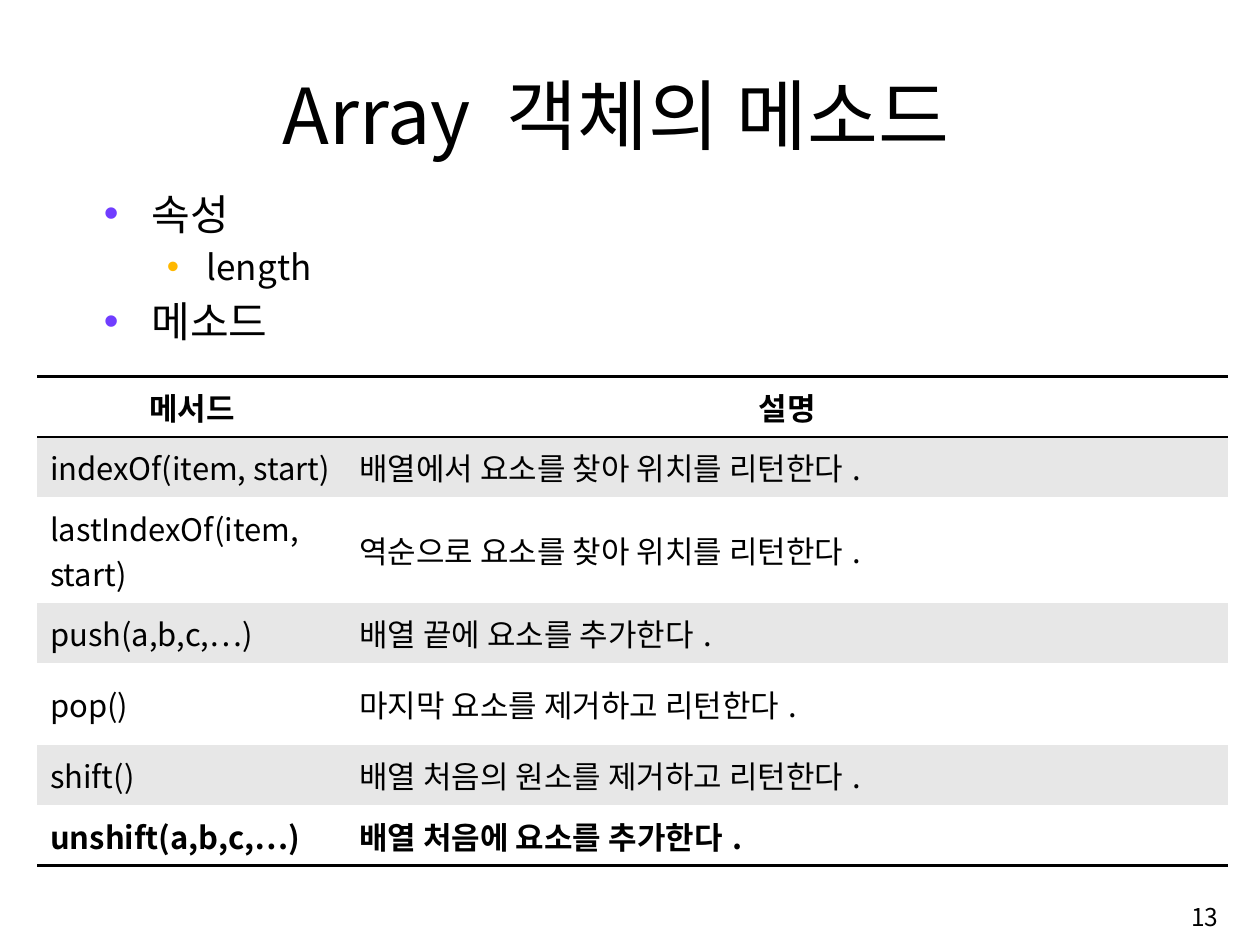
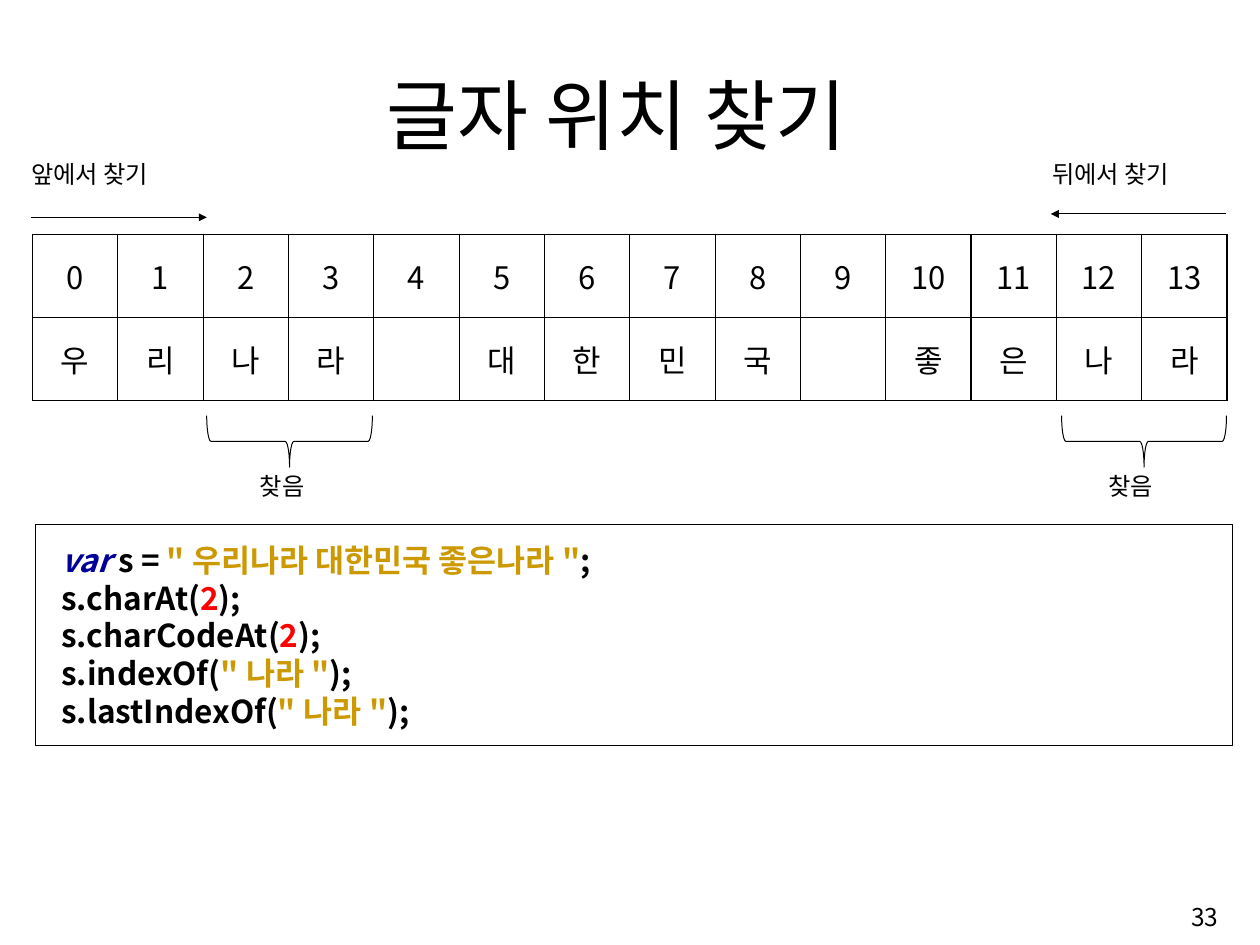
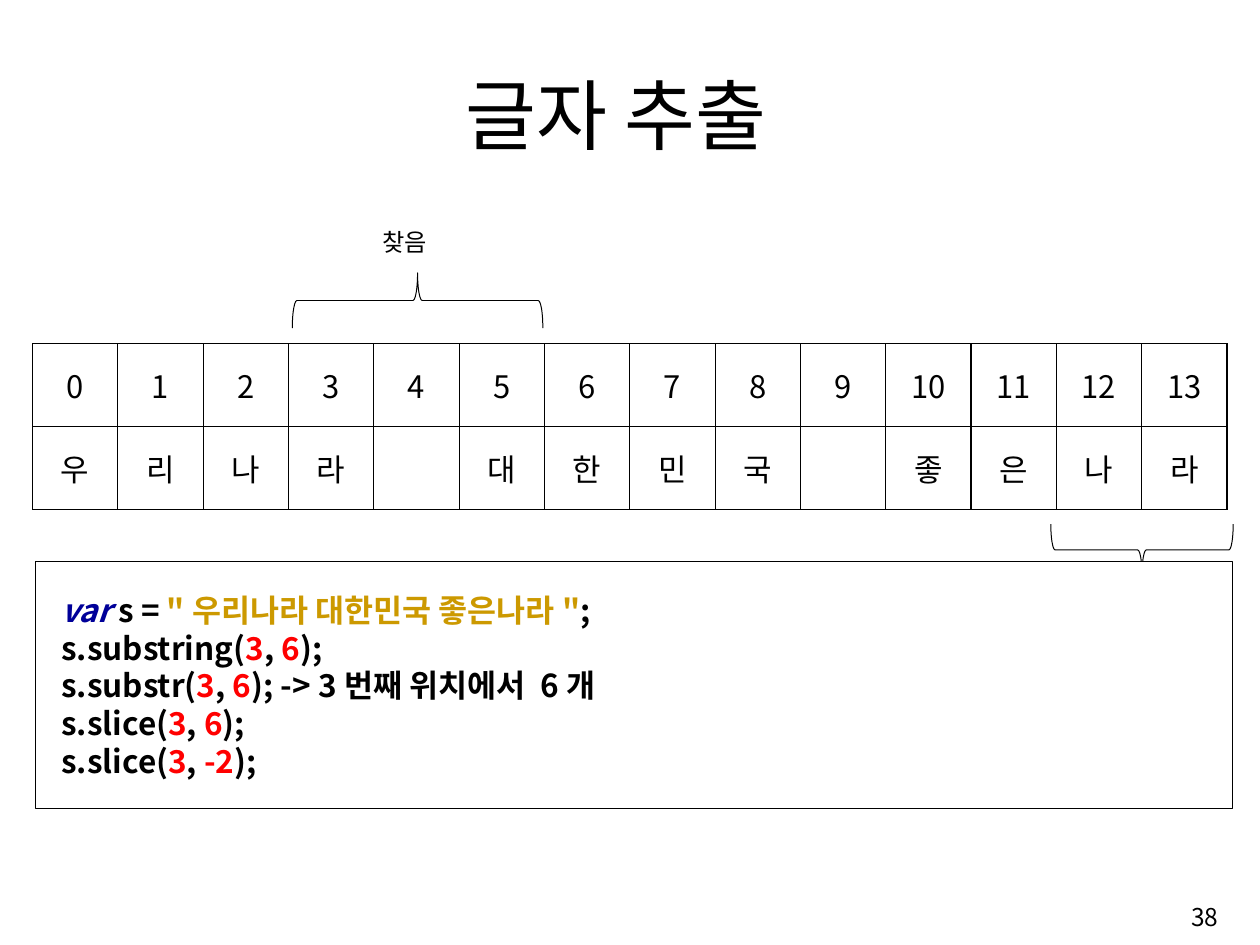
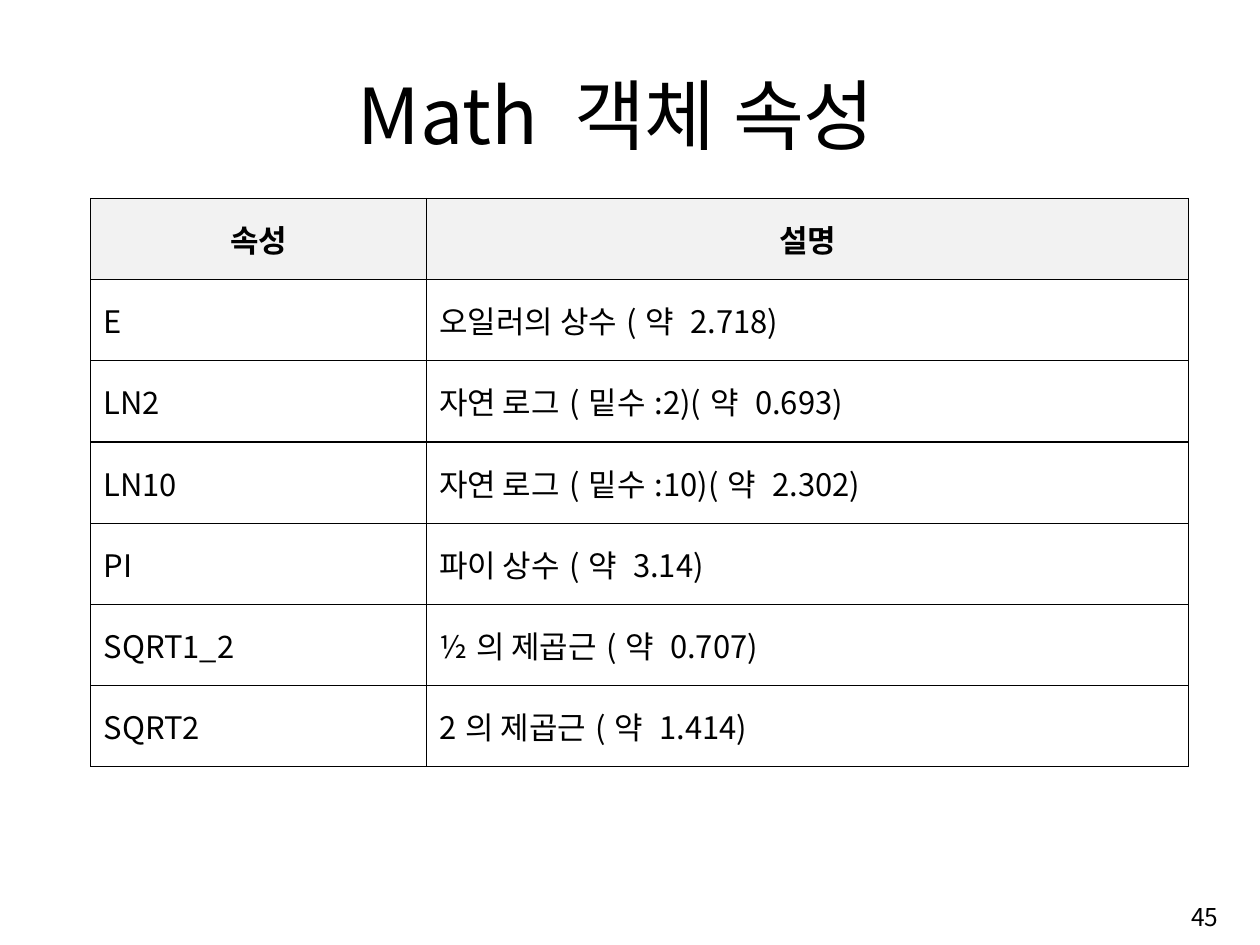
import pptx
import pptx.dml.color
import pptx.enum.shapes
import pptx.enum.text
import pptx.oxml
import pptx.oxml.ns
import pptx.util
from lxml import etree

Pt = pptx.util.Pt
ALIGN = pptx.enum.text.PP_ALIGN
ANCHOR = pptx.enum.text.MSO_ANCHOR
SHAPE = pptx.enum.shapes.MSO_SHAPE
qn = pptx.oxml.ns.qn

FONT, LABEL_FONT = "Noto Sans CJK KR", "Arial"
BLACK, WHITE = "000000", "FFFFFF"
BAND, HEADER = "E7E7E7", "F2F2F2"
PURPLE, AMBER = "703DFF", "FFB800"
NAVY, GOLD, RED = "000099", "CC9900", "FF0000"
GRID_LEFT, GRID_COL, GRID_ROW = 24.2, 63.35, 61.7
BRACE_DEPTH = 38.2
LETTERS = list("우리나라 대한민국 좋은나라")


def color(value):
    """Turn a hex string into an RGB colour."""
    return pptx.dml.color.RGBColor.from_string(value)


def add_run(p, text, size, fill=BLACK, bold=False, italic=False, font=FONT):
    """Append one formatted run to a paragraph."""
    r = p.add_run()
    r.text = text
    r.font.size, r.font.name = Pt(size), font
    r.font.bold, r.font.italic = bold, italic
    r.font.color.rgb = color(fill)
    etree.SubElement(r.font._element, qn("a:ea")).set("typeface", FONT)


def set_margins(target, x, y):
    """Set equal side and equal top and bottom insets."""
    target.margin_left = target.margin_right = Pt(x)
    target.margin_top = target.margin_bottom = Pt(y)


def add_text(slide, box, text, size, font=FONT, align=ALIGN.LEFT, anchor=ANCHOR.TOP):
    """Add a text box holding a single line."""
    tf = slide.shapes.add_textbox(*map(Pt, box)).text_frame
    tf.word_wrap, tf.vertical_anchor = True, anchor
    p = tf.paragraphs[0]
    p.alignment = align
    add_run(p, text, size, font=font)


def add_label(slide, x, y, width, text):
    """Add a small caption beside a diagram."""
    add_text(slide, (x, y, width, 29), text, 18, LABEL_FONT)


def add_slide(prs, title, number):
    """Add a slide with its title and page number."""
    slide = prs.slides.add_slide(prs.slide_layouts[5])
    sp = slide.shapes.title
    sp.left, sp.top, sp.width, sp.height = map(Pt, (75.5, 45.5, 764, 78))
    tf = sp.text_frame
    tf.word_wrap, tf.vertical_anchor = True, ANCHOR.MIDDLE
    tf.auto_size = pptx.enum.text.MSO_AUTO_SIZE.NONE
    set_margins(tf, 7.2, 0)
    p = tf.paragraphs[0]
    p.alignment = ALIGN.CENTER
    add_run(p, title, 57.2)
    add_text(slide, (718.5, 658.5, 193, 43), str(number), 18.2, align=ALIGN.RIGHT, anchor=ANCHOR.MIDDLE)
    return slide


def set_indent(p, margin, indent=0):
    """Set the left margin and first-line indent of a paragraph."""
    pPr = p._p.get_or_add_pPr()
    pPr.set("marL", str(Pt(margin)))
    pPr.set("indent", str(Pt(indent)))
    return pPr


def add_bullets(slide, box, items):
    """Add a two-level bullet list."""
    levels = ((31.2, 35.3, -35.3, PURPLE), (26, 76.3, -29.5, AMBER))
    tf = slide.shapes.add_textbox(*map(Pt, box)).text_frame
    tf.word_wrap = True
    for i, (level, text) in enumerate(items):
        size, margin, indent, bullet = levels[level]
        p = tf.add_paragraph() if i else tf.paragraphs[0]
        p.level, p.line_spacing, p.space_before = level, 1.0, Pt(round(size * 0.2, 1))
        pPr = set_indent(p, margin, indent)
        clr = etree.SubElement(pPr, qn("a:buClr"))
        etree.SubElement(clr, qn("a:srgbClr")).set("val", bullet)
        etree.SubElement(pPr, qn("a:buFont")).set("typeface", "Arial")
        etree.SubElement(pPr, qn("a:buChar")).set("char", "•")
        add_run(p, text, size)


def set_borders(cell, sides, width):
    """Draw the named sides of a cell and clear the others."""
    tcPr = cell._tc.get_or_add_tcPr()
    for side in "LRTB":
        ln = etree.SubElement(tcPr, qn("a:ln" + side))
        if side in sides:
            ln.set("w", str(Pt(width)))
            fill = etree.SubElement(ln, qn("a:solidFill"))
            etree.SubElement(fill, qn("a:srgbClr")).set("val", BLACK)
        else:
            etree.SubElement(ln, qn("a:noFill"))


def add_table(slide, x, y, cols, heights, rows, fills, sides, border=1, bold=(), centered=()):
    """Add a table whose fills, borders and emphasis are given by row."""
    frame = slide.shapes.add_table(len(rows), len(cols), Pt(x), Pt(y), Pt(sum(cols)), Pt(sum(heights)))
    table = frame.table
    table.first_row = table.horz_banding = False
    for column, width in zip(table.columns, cols):
        column.width = Pt(width)
    for i, values in enumerate(rows):
        table.rows[i].height = Pt(heights[i])
        for j, text in enumerate(values):
            cell = table.cell(i, j)
            set_borders(cell, sides[i], border)
            cell.fill.solid()
            cell.fill.fore_color.rgb = color(fills[i])
            cell.vertical_anchor = ANCHOR.MIDDLE
            set_margins(cell, 9.4, 4.5)
            p = cell.text_frame.paragraphs[0]
            p.alignment = ALIGN.CENTER if i in centered else ALIGN.LEFT
            if text.strip():
                add_run(p, text, 23, bold=i in bold)


def add_letter_grid(slide, y):
    """Add the index row above the letters of the sample string."""
    count = len(LETTERS)
    rows = [[str(i) for i in range(count)], LETTERS]
    add_table(slide, GRID_LEFT, y, [GRID_COL] * count, [GRID_ROW] * 2, rows,
              [WHITE] * 2, ["LRTB"] * 2, centered=(0, 1))


def add_outlined(slide, kind, box):
    """Add a white shape with a thin black outline."""
    sp = slide.shapes.add_shape(kind, *map(Pt, box))
    sp.shadow.inherit = False
    sp.fill.solid()
    sp.fill.fore_color.rgb = color(WHITE)
    sp.line.color.rgb = color(BLACK)
    sp.line.width = Pt(0.75)
    return sp


def add_brace(slide, x, y, width, depth=BRACE_DEPTH, rotation=90):
    """Add a horizontal brace given the box that it visibly fills."""
    left, top = x + (width - depth) / 2, y + (depth - width) / 2
    add_outlined(slide, SHAPE.RIGHT_BRACE, (left, top, depth, width)).rotation = rotation


def add_arrow(slide, x1, x2, y):
    """Add a horizontal arrow pointing at x2."""
    line = slide.shapes.add_connector(pptx.enum.shapes.MSO_CONNECTOR.STRAIGHT, Pt(x1), Pt(y), Pt(x2), Pt(y))
    line.line.color.rgb = color(BLACK)
    line.line.width = Pt(0.75)
    etree.SubElement(line.line._get_or_add_ln(), qn("a:tailEnd")).set("type", "triangle")
    etree.SubElement(line._element.spPr, qn("a:effectLst"))


def method_call(name, *args, fill=RED, note=""):
    """List the coloured runs of one method call."""
    runs = [("s." + name + "(", BLACK)]
    for i, arg in enumerate(args):
        if i:
            runs.append((", ", BLACK))
        runs.append((arg, fill))
    return runs + [(");" + note, BLACK)]


def add_code(slide, y, height, calls):
    """Add the code box: the sample string and calls on it."""
    declaration = [("var", NAVY), (" s = ", BLACK), ('"' + "".join(LETTERS) + '"', GOLD), (";", BLACK)]
    tf = add_outlined(slide, SHAPE.RECTANGLE, (26.2, y, 889, height)).text_frame
    tf.word_wrap, tf.vertical_anchor = True, ANCHOR.MIDDLE
    set_margins(tf, 9.4, 4.5)
    for i, runs in enumerate([declaration] + calls):
        p = tf.add_paragraph() if i else tf.paragraphs[0]
        p.alignment, p.line_spacing = ALIGN.LEFT, 1.0
        set_indent(p, 10)
        for text, fill in runs:
            add_run(p, text, 23.4, fill, bold=True, italic=fill == NAVY)


def build_array_methods(prs):
    """Build the slide on Array methods."""
    slide = add_slide(prs, "Array 객체의 메소드", 13)
    add_bullets(slide, (70, 136, 840, 493), [(0, "속성"), (1, "length"), (0, "메소드")])
    rows = [
        ("메서드", "설명"),
        ("indexOf(item, start)", "배열에서 요소를 찾아 위치를 리턴한다."),
        ("lastIndexOf(item, start)", "역순으로 요소를 찾아 위치를 리턴한다."),
        ("push(a,b,c,…)", "배열 끝에 요소를 추가한다."),
        ("pop()", "마지막 요소를 제거하고 리턴한다."),
        ("shift()", "배열 처음의 원소를 제거하고 리턴한다."),
        ("unshift(a,b,c,…)", "배열 처음에 요소를 추가한다."),
    ]
    fills = [BAND if i % 2 else WHITE for i in range(len(rows))]
    add_table(slide, 27.8, 279.5, [229.5, 654.5], [44.7, 44.7, 78.6, 44.7, 61, 44.7, 44.7], rows,
              fills, ["TB", "T", "", "", "", "", "B"], border=2, bold=(0, 6), centered=(0,))


def build_find_letters(prs):
    """Build the slide on finding letters."""
    slide = add_slide(prs, "글자 위치 찾기", 33)
    add_letter_grid(slide, 174)
    for x, width in ((153.4, 123), (788, 122.4)):
        add_brace(slide, x, 308.5, width)
    add_arrow(slide, 23, 153.5, 161.3)
    add_arrow(slide, 910, 780, 158.8)
    add_label(slide, 16, 114.5, 149, "앞에서 찾기")
    add_label(slide, 774, 114.5, 149, "뒤에서 찾기")
    for x in (185.8, 815.8):
        add_label(slide, x, 346.5, 66, "찾음")
    add_code(slide, 389.5, 164, [
        method_call("charAt", "2"),
        method_call("charCodeAt", "2"),
        method_call("indexOf", '"나라"', fill=GOLD),
        method_call("lastIndexOf", '"나라"', fill=GOLD),
    ])


def build_extract_letters(prs):
    """Build the slide on extracting letters."""
    slide = add_slide(prs, "글자 추출", 38)
    add_letter_grid(slide, 255)
    add_brace(slide, 217, 202.5, 186, 41, rotation=270)
    add_brace(slide, 780, 389, 135.4)
    add_code(slide, 416.9, 183.3, [
        method_call("substring", "3", "6"),
        method_call("substr", "3", "6", note=" -> 3번째 위치에서 6개"),
        method_call("slice", "3", "6"),
        method_call("slice", "3", "-2"),
    ])
    add_label(slide, 277, 165, 66, "찾음")


def build_math_properties(prs):
    """Build the slide on Math properties."""
    slide = add_slide(prs, "Math 객체 속성", 45)
    rows = [
        ("속성", "설명"),
        ("E", "오일러의 상수(약 2.718)"),
        ("LN2", "자연 로그(밑수:2)(약 0.693)"),
        ("LN10", "자연 로그(밑수:10)(약 2.302)"),
        ("PI", "파이 상수(약 3.14)"),
        ("SQRT1_2", "½의 제곱근(약 0.707)"),
        ("SQRT2", "2의 제곱근(약 1.414)"),
    ]
    count = len(rows)
    add_table(slide, 67.5, 147.3, [249, 566], [60.25] * count, rows,
              [HEADER] + [WHITE] * (count - 1), ["LRTB"] * count, bold=(0,), centered=(0,))


def main():
    """Build and save the presentation."""
    prs = pptx.Presentation()
    prs.slide_width, prs.slide_height = Pt(935.3), Pt(701.3)
    build_array_methods(prs)
    build_find_letters(prs)
    build_extract_letters(prs)
    build_math_properties(prs)
    prs.save("out.pptx")


if __name__ == "__main__":
    main()
